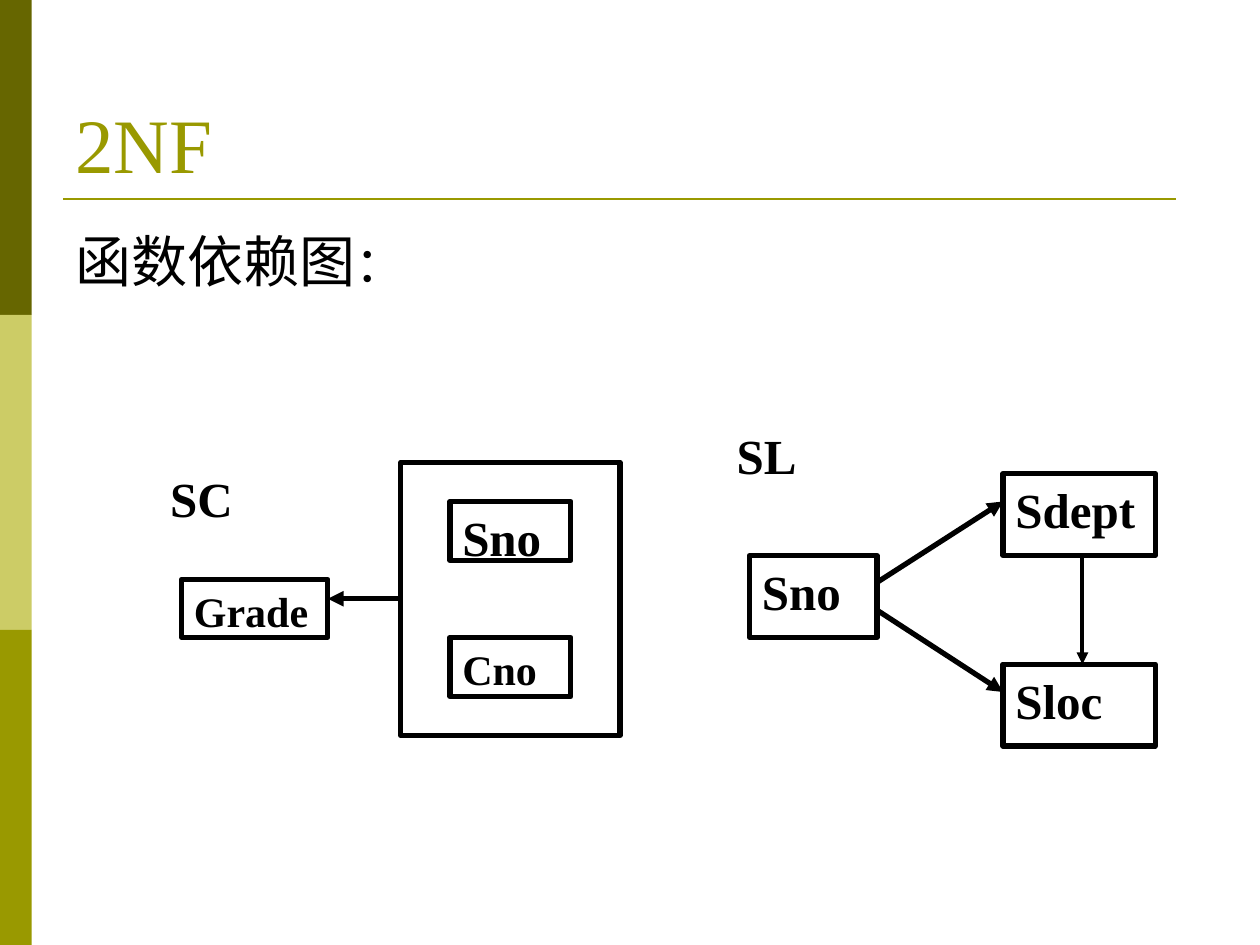
from lxml import etree
from pptx import Presentation
from pptx.dml.color import RGBColor
from pptx.enum.shapes import MSO_CONNECTOR, MSO_SHAPE
from pptx.enum.text import MSO_ANCHOR, PP_ALIGN
from pptx.oxml.ns import qn
from pptx.util import Cm, Pt

RECTANGLE = MSO_SHAPE.RECTANGLE
STRAIGHT = MSO_CONNECTOR.STRAIGHT
TOP, BOTTOM = MSO_ANCHOR.TOP, MSO_ANCHOR.BOTTOM
LEFT, JUSTIFY = PP_ALIGN.LEFT, PP_ALIGN.JUSTIFY
DARK_OLIVE = RGBColor(0x66, 0x66, 0x00)
LIGHT_OLIVE = RGBColor(0xCC, 0xCC, 0x66)
OLIVE = RGBColor(0x99, 0x99, 0x00)
BLACK = RGBColor(0x00, 0x00, 0x00)
SERIF, SANS = "Times New Roman", "DejaVu Sans"


def format_run(run, size, font_name, color, bold=False):
    """Apply size, typeface and colour to a run, for East Asian text too."""
    run.font.size = Pt(size)
    run.font.name = font_name
    run.font.bold = bold
    run.font.color.rgb = color
    east_asian = etree.SubElement(run.font._element, qn("a:ea"))
    east_asian.set("typeface", font_name)


def set_text(shape, text, size, color=BLACK, bold=True, anchor=TOP, alignment=JUSTIFY):
    """Write one serif paragraph into a shape."""
    frame = shape.text_frame
    frame.word_wrap = True
    frame.vertical_anchor = anchor
    frame.text = text
    paragraph = frame.paragraphs[0]
    paragraph.alignment = alignment
    format_run(paragraph.runs[0], size, SERIF, color, bold)


def add_text(slide, left, top, width, height, text, size, **options):
    """Add a text box holding one paragraph."""
    box = slide.shapes.add_textbox(Cm(left), Cm(top), Cm(width), Cm(height))
    set_text(box, text, size, **options)


def add_box(slide, left, top, width, height, text="", size=28):
    """Add an outlined box, with a label if one is given."""
    box = slide.shapes.add_shape(RECTANGLE, Cm(left), Cm(top), Cm(width), Cm(height))
    box.shadow.inherit = False
    box.fill.background()
    box.line.color.rgb = BLACK
    box.line.width = Pt(3)
    if text:
        set_text(box, text, size)


def add_line(slide, start, end, color=BLACK, width=3, arrow=True):
    """Add a straight line, with an arrowhead at its end by default."""
    line = slide.shapes.add_connector(
        STRAIGHT, Cm(start[0]), Cm(start[1]), Cm(end[0]), Cm(end[1]))
    line.line.color.rgb = color
    line.line.width = Pt(width)
    if arrow:
        head = etree.SubElement(line.line._get_or_add_ln(), qn("a:tailEnd"))
        head.set("type", "triangle")
    etree.SubElement(line._element.spPr, qn("a:effectLst"))


def add_side_bands(slide, left, top, width, height):
    """Stack three equal colour bands in the given box."""
    band_height = height / 3
    for index, color in enumerate((DARK_OLIVE, LIGHT_OLIVE, OLIVE)):
        band = slide.shapes.add_shape(
            RECTANGLE, Cm(left), Cm(top + index * band_height), Cm(width), Cm(band_height))
        band.shadow.inherit = False
        band.fill.solid()
        band.fill.fore_color.rgb = color
        band.line.fill.background()


def add_heading(slide, left, top, width, height):
    """Place the title with the rule below it."""
    add_text(slide, left, top, width, height, "2NF", 44,
             color=OLIVE, bold=False, anchor=BOTTOM, alignment=LEFT)
    rule_top = top + height + 0.07
    add_line(slide, (left, rule_top), (left + 22.43, rule_top), OLIVE, 1.5, arrow=False)


def add_body(slide, left, top, width, height):
    """Place the introductory line."""
    box = slide.shapes.add_textbox(Cm(left), Cm(top), Cm(width), Cm(height))
    box.text_frame.word_wrap = True
    paragraph = box.text_frame.paragraphs[0]
    for text, size in (("函数依赖图", 32), ("：", 28)):
        run = paragraph.add_run()
        run.text = text
        format_run(run, size, SANS, BLACK)


def add_sc_diagram(slide, left, top):
    """Draw the SC relation: the key (Sno, Cno) determines Grade."""
    key_left = left + 4.9
    arrow_top = top + 2.75
    add_text(slide, left, top, 2.46, 1.17, "SC", 28)
    add_box(slide, key_left, top, 4.42, 5.51)
    add_box(slide, key_left + 0.99, top + 0.79, 2.44, 1.19, "Sno")
    add_box(slide, key_left + 0.99, top + 3.53, 2.44, 1.19, "Cno", 24)
    add_box(slide, left + 0.48, top + 2.36, 2.95, 1.17, "Grade", 24)
    add_line(slide, (key_left, arrow_top), (left + 3.43, arrow_top))


def add_sl_diagram(slide, left, top):
    """Draw the SL relation: Sno determines Sdept and Sloc, Sdept determines Sloc."""
    box_height = 1.65
    source_right = left + 3.08
    target_left = left + 5.62
    department_top, location_top = top + 1.09, top + 4.93
    add_text(slide, left, top, 3.07, box_height, "SL", 28)
    add_box(slide, left + 0.51, top + 2.74, 2.57, box_height, "Sno")
    add_box(slide, target_left, department_top, 3.07, box_height, "Sdept")
    add_box(slide, target_left, location_top, 3.07, box_height, "Sloc")
    add_line(slide, (source_right, top + 3.28), (target_left, department_top + 0.56))
    add_line(slide, (source_right, top + 3.84), (target_left, location_top + 0.56))
    add_line(slide, (left + 7.22, department_top + box_height),
             (left + 7.22, location_top), width=2.25)


def main():
    """Build and save the slide."""
    presentation = Presentation()
    presentation.slide_width = Cm(25.4)
    presentation.slide_height = Cm(19.05)
    slide = presentation.slides.add_slide(presentation.slide_layouts[6])
    add_side_bands(slide, 0, 0, 0.64, 19.05)
    add_heading(slide, 1.27, 0.76, 22.86, 3.18)
    add_body(slide, 1.27, 4.45, 22.86, 12.57)
    add_sc_diagram(slide, 3.18, 9.32)
    add_sl_diagram(slide, 14.6, 8.46)
    presentation.save("out.pptx")


if __name__ == "__main__":
    main()
